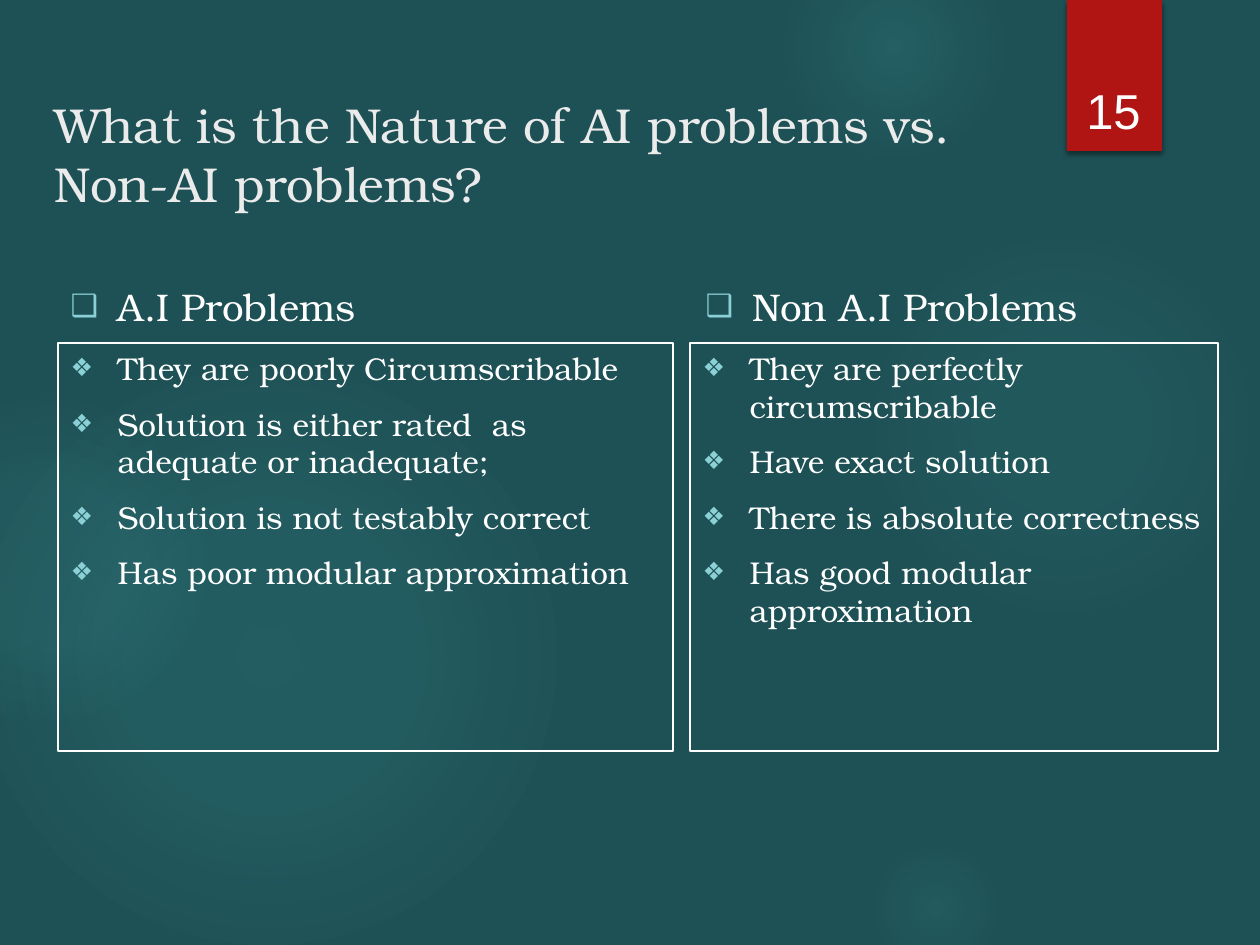
from lxml import etree
from pptx import Presentation
from pptx.dml.color import RGBColor
from pptx.enum.shapes import MSO_SHAPE
from pptx.enum.text import MSO_ANCHOR, MSO_AUTO_SIZE, PP_ALIGN
from pptx.oxml import parse_xml
from pptx.oxml.ns import qn
from pptx.util import Emu, Pt

OVAL, RECTANGLE = MSO_SHAPE.OVAL, MSO_SHAPE.RECTANGLE
TOP, BOTTOM = MSO_ANCHOR.TOP, MSO_ANCHOR.BOTTOM
LEFT, CENTER = PP_ALIGN.LEFT, PP_ALIGN.CENTER
NO_AUTOFIT = MSO_AUTO_SIZE.NONE

PX = 914400 / 126
SERIF, SANS = "TeX Gyre Bonum", "Arial"
TEAL, GLOW, RED = "1E5155", "50B9C1", "B01513"
WHITE, OFF_WHITE, AQUA, BLACK = "FFFFFF", "EBEBEB", "8AD0D6", "000000"
DRAWING_NS = "http://schemas.openxmlformats.org/drawingml/2006/main"
INDENT = 47

# left, top, diameter, then (stop, opacity) in percent
GLOWS = [
    (868, 231, 388, [(0, 7), (36, 6), (69, 0)]),
    (784, -63, 220, [(0, 14), (36, 7), (73, 0)]),
    (868, 840, 136, [(0, 9), (36, 5), (66, 0)]),
    (-21, 368, 577, [(0, 11), (36, 10), (75, 0)]),
    (-116, 399, 325, [(0, 8), (36, 8), (72, 0)]),
]

# heading index and left, list index, left and width, heading, items
COLUMNS = [
    (1, 58, 2, 58, 615, "A.I Problems", [
        "They are poorly Circumscribable",
        "Solution is either rated  as adequate or inadequate;",
        "Solution is not testably correct",
        "Has poor modular approximation",
    ]),
    (3, 693, 4, 690, 528, "Non A.I Problems", [
        "They are perfectly circumscribable",
        "Have exact solution",
        "There is absolute correctness",
        "Has good modular approximation",
    ]),
]


def px(length):
    return Emu(round(length * PX))


def rgb(code):
    return RGBColor.from_string(code)


def place(shape, left, top, width, height):
    bounds = {"left": left, "top": top, "width": width, "height": height}
    for name, value in bounds.items():
        setattr(shape, name, px(value))


def add_backdrop(page, kind, left, top, width, height):
    """Add an unlined shape behind the page's text."""
    shape = page.shapes.add_shape(
        kind, px(left), px(top), px(width), px(height))
    shape.shadow.inherit = False
    shape.line.fill.background()
    page.shapes.title._element.addprevious(shape._element)
    return shape


def add_glow(page, left, top, diameter, stops):
    shape = add_backdrop(page, OVAL, left, top, diameter, diameter)
    shape.fill.gradient()
    old = shape._element.spPr.find(qn("a:gradFill"))
    stop_xml = "".join(
        f'<a:gs pos="{position * 1000}"><a:srgbClr val="{GLOW}">'
        f'<a:alpha val="{opacity * 1000}"/></a:srgbClr></a:gs>'
        for position, opacity in stops)
    old.getparent().replace(old, parse_xml(
        f'<a:gradFill xmlns:a="{DRAWING_NS}" rotWithShape="1">'
        f'<a:gsLst>{stop_xml}</a:gsLst><a:path path="circle">'
        '<a:fillToRect l="50000" t="50000" r="50000" b="50000"/>'
        '</a:path></a:gradFill>'))


def add_ribbon(page):
    ribbon = add_backdrop(page, RECTANGLE, 1067, 0, 95, 151)
    ribbon.fill.solid()
    ribbon.fill.fore_color.rgb = rgb(RED)
    effects = ribbon._element.spPr.find(qn("a:effectLst"))
    shadow = etree.SubElement(
        effects, qn("a:outerShdw"), blurRad=str(Pt(3)), dist=str(Pt(2)),
        dir="5400000", algn="ctr", rotWithShape="0")
    color = etree.SubElement(shadow, qn("a:srgbClr"), val=BLACK)
    etree.SubElement(color, qn("a:alpha"), val="45000")


def add_bullet(para, symbol):
    properties = para._p.get_or_add_pPr()
    properties.set("marL", str(px(INDENT)))
    properties.set("indent", str(-px(INDENT)))
    color = etree.SubElement(properties, qn("a:buClr"))
    etree.SubElement(color, qn("a:srgbClr"), val=AQUA)
    etree.SubElement(properties, qn("a:buSzPct"), val="80000")
    etree.SubElement(properties, qn("a:buChar"), char=symbol)


def write(box, lines, size, font=SERIF, color=WHITE, align=LEFT,
          anchor=TOP, bullet=None):
    frame = box.text_frame
    settings = {"word_wrap": True, "auto_size": NO_AUTOFIT,
                "vertical_anchor": anchor}
    for name, value in settings.items():
        setattr(frame, name, value)
    for index, line in enumerate(lines):
        para = frame.add_paragraph() if index else frame.paragraphs[0]
        if bullet:
            add_bullet(para, bullet)
        para.alignment = align
        para.space_before = Pt(10 if index else 0)
        span = para.add_run()
        span.text = line
        style = {"name": font, "size": Pt(size), "bold": False}
        for name, value in style.items():
            setattr(span.font, name, value)
        span.font.color.rgb = rgb(color)


def fill_column(page, heading_index, heading_left, list_index, list_left,
                list_width, heading, items):
    boxes = {box.placeholder_format.idx: box for box in page.placeholders}
    heading_box, list_box = boxes[heading_index], boxes[list_index]
    place(heading_box, heading_left, 277, 557, 67)
    write(heading_box, [heading], 22, bullet="❑")
    place(list_box, list_left, 343, list_width, 408)
    list_box.line.color.rgb = rgb(WHITE)
    list_box.line.width = Pt(1.5)
    write(list_box, items, 18, bullet="❖")


def main():
    deck = Presentation()
    deck.slide_width, deck.slide_height = px(1260), px(945)
    page = deck.slides.add_slide(deck.slide_layouts.get_by_name("Comparison"))
    page.background.fill.solid()
    page.background.fill.fore_color.rgb = rgb(TEAL)

    for glow in GLOWS:
        add_glow(page, *glow)
    add_ribbon(page)
    number = page.shapes.add_textbox(px(1070), px(40), px(87), px(106))
    write(number, ["15"], 28, font=SANS, align=CENTER, anchor=BOTTOM)

    title = page.shapes.title
    place(title, 42, 88, 1051, 189)
    write(title, ["What is the Nature of AI problems vs. Non-AI problems?"],
          28, color=OFF_WHITE)
    for column in COLUMNS:
        fill_column(page, *column)
    deck.save("out.pptx")


if __name__ == "__main__":
    main()
